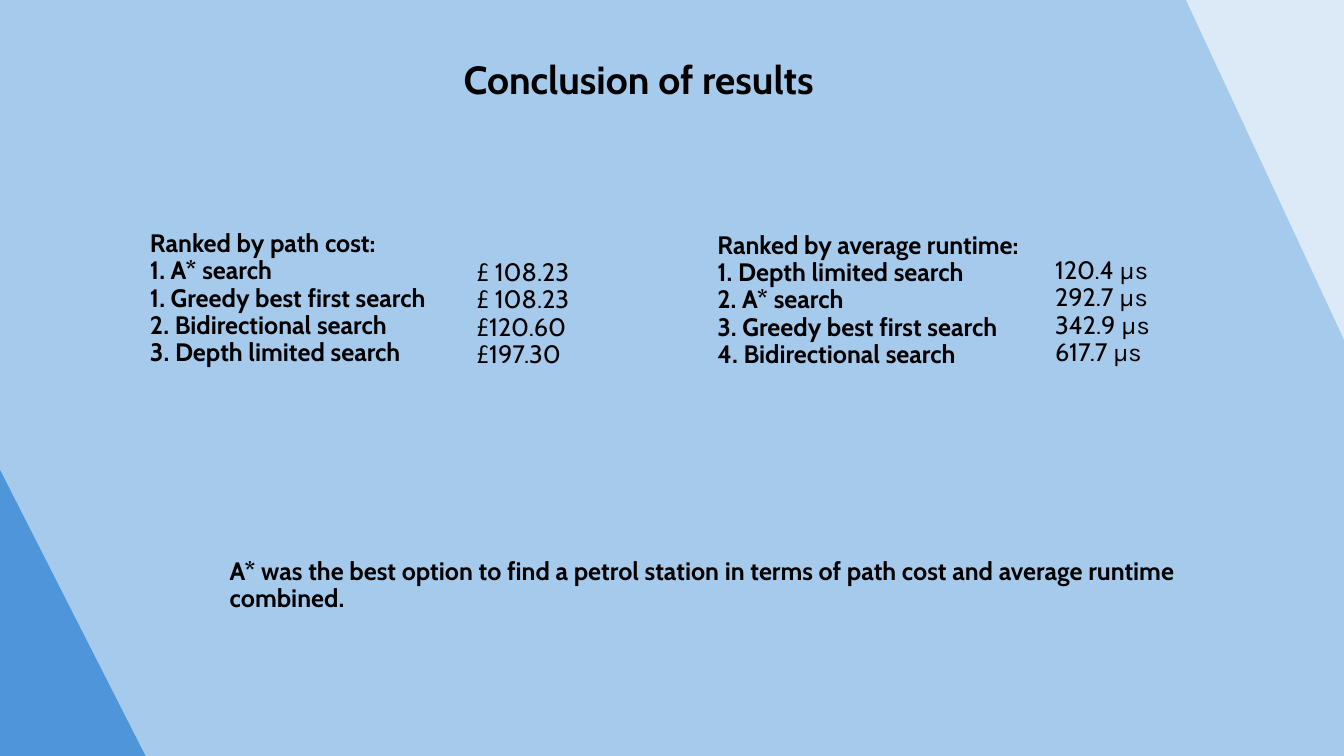
from pptx import Presentation
from pptx.dml.color import RGBColor
from pptx.enum.shapes import MSO_SHAPE
from pptx.enum.text import MSO_ANCHOR, PP_ALIGN
from pptx.util import Cm, Pt

RECT = MSO_SHAPE.RECTANGLE
TRIANGLE = MSO_SHAPE.ISOSCELES_TRIANGLE
BOTTOM = MSO_ANCHOR.BOTTOM
LEFT = PP_ALIGN.LEFT
CENTER = PP_ALIGN.CENTER

BLACK = RGBColor(0x00, 0x00, 0x00)
NAVY = RGBColor(0x09, 0x2A, 0x39)
SKY = RGBColor(0xA6, 0xCA, 0xEC)
BLUE = RGBColor(0x4E, 0x95, 0xD9)
PALE = RGBColor(0xDC, 0xEA, 0xF7)


class Board:
    font = "Cabin"
    unit_font = "Karla"
    size = 18
    spacing = 0.9

    def __init__(self, deck):
        self.slide = deck.slides.add_slide(deck.slide_layouts[6])

    def shape(self, kind, left, top, width, height, fill, line, flip=False):
        shape = self.slide.shapes.add_shape(
            kind, Cm(left), Cm(top), Cm(width), Cm(height))
        shape.shadow.inherit = False
        shape.fill.solid()
        shape.fill.fore_color.rgb = fill
        shape.line.color.rgb = line
        shape.line.width = Pt(1.5)
        if flip:
            shape.element.spPr.xfrm.set("flipV", "1")

    def text(self, lines, left, bottom, width, bold=True, size=size,
             align=LEFT, unit=""):
        height = 0.25 + len(lines) * size * 0.0383
        box = self.slide.shapes.add_textbox(
            Cm(left), Cm(bottom - height), Cm(width), Cm(height))
        frame = box.text_frame
        frame.word_wrap = True
        frame.vertical_anchor = BOTTOM
        for index, line in enumerate(lines):
            para = frame.add_paragraph() if index else frame.paragraphs[0]
            para.alignment = align
            para.line_spacing = self.spacing
            para.font.name = self.font
            para.font.size = Pt(size)
            para.font.bold = bold
            para.font.color.rgb = BLACK
            para.add_run().text = line
            if unit:
                run = para.add_run()
                run.text = unit
                run.font.name = self.unit_font


def main():
    deck = Presentation()
    deck.slide_width = Cm(33.87)
    deck.slide_height = Cm(19.05)
    board = Board(deck)

    board.shape(RECT, -1.45, -0.91, 36.78, 20.68, SKY, NAVY)
    board.shape(TRIANGLE, -11, 6.53, 16.54, 16.26, BLUE, BLUE)
    board.shape(TRIANGLE, 28.96, -2.06, 19.25, 20.68, PALE, PALE, flip=True)

    board.text(["Conclusion of results"], 3.71, 2.72, 24.77,
               size=28, align=CENTER)
    board.text(["Ranked by path cost:", "1. A* search",
                "1. Greedy best first search", "2. Bidirectional search",
                "3. Depth limited search"], 3.53, 9.37, 8)
    board.text(["Ranked by average runtime:", "1. Depth limited search",
                "2. A* search", "3. Greedy best first search",
                "4. Bidirectional search"], 17.83, 9.42, 8.5)
    board.text(["£ 108.23", "£ 108.23", "£120.60", "£197.30"],
               11.76, 9.42, 4, bold=False)
    board.text(["120.4 ", "292.7 ", "342.9 ", "617.7 "],
               26.34, 9.37, 4, bold=False, unit="μs")
    board.text(["A* was the best option to find a petrol station in terms of "
                "path cost and average runtime combined."],
               5.54, 15.57, 24.77)

    deck.save("out.pptx")


if __name__ == "__main__":
    main()
